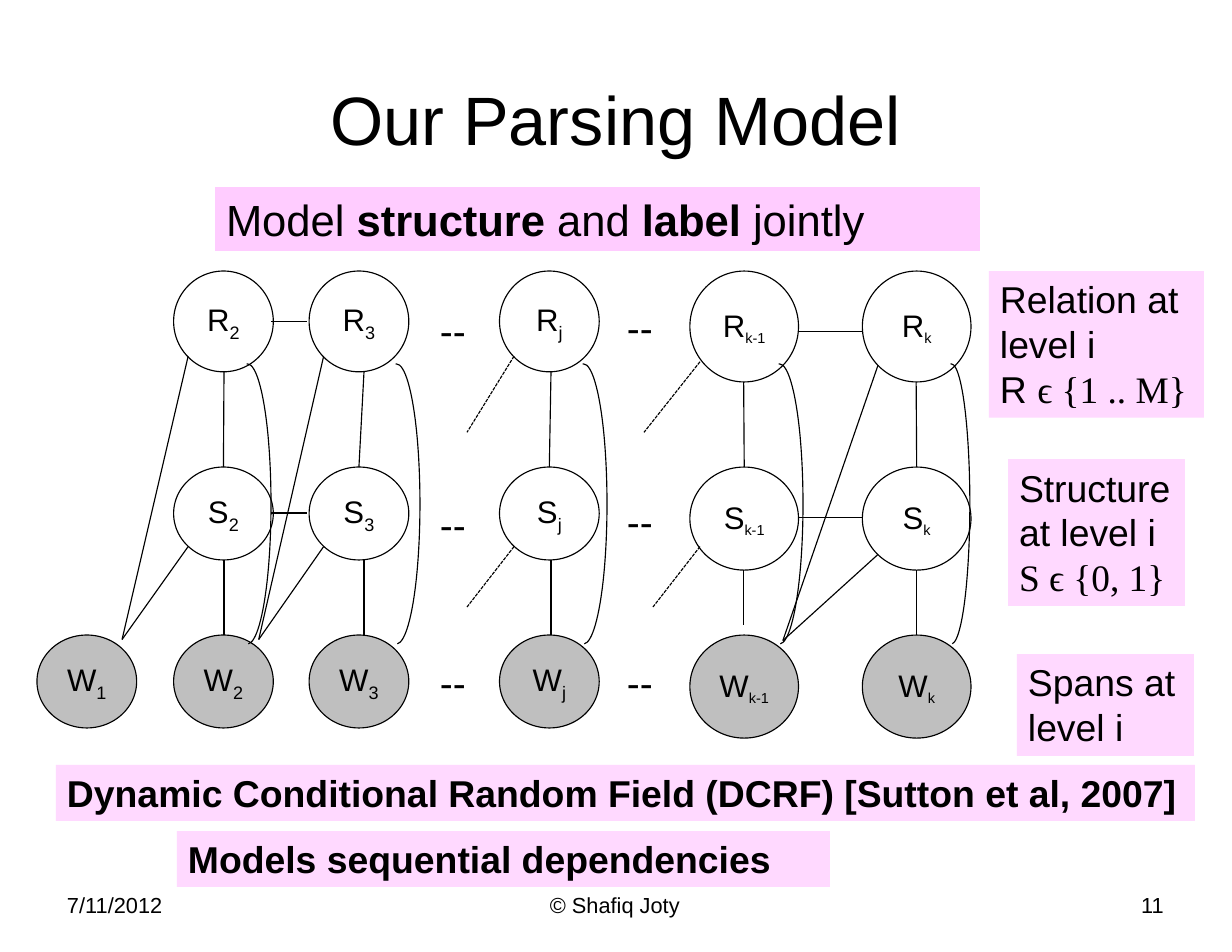
from pptx import Presentation
from pptx import util as u
from pptx.dml.color import RGBColor
from pptx.enum import dml, shapes, text
from pptx.oxml.ns import qn
from lxml import etree

WIDTH, HEIGHT = 11, 8.5
INK, PINK, GREY = "000000", "FFCCFF", "BFBFBF"
SERIF = {"name": "Times New Roman"}
BOLD = {"bold": True}
LEFT, CENTER, RIGHT = text.PP_ALIGN.LEFT, text.PP_ALIGN.CENTER, text.PP_ALIGN.RIGHT

TITLE = ("Our Parsing Model", (0.55, 0.34, 9.9, 1.42))
FOOTER = [
    ("7/11/2012", (0.5, 7.91, 2.57, 0.59), LEFT),
    ("© Shafiq Joty", (3.75, 7.91, 3.48, 0.59), CENTER),
    ("11", (7.92, 7.91, 2.57, 0.59), RIGHT),
]
HEADLINE = [[("Model ", {}), ("structure", BOLD), (" and ", {}), ("label", BOLD), (" jointly", {})]]
NOTES = [
    ((8.83, 2.42, 1.92, 1.31), [[("Relation at level i", {})], [("R ", {}), ("ϵ {1 .. M}", SERIF)]]),
    ((9, 4.1, 1.58, 1.31), [[("Structure at level i", {})], [("S ϵ {0, 1}", SERIF)]]),
    ((9.08, 5.84, 1.58, 0.91), [[("Spans at level i", {})]]),
    ((0.5, 6.83, 10.17, 0.5),
     [[("Dynamic Conditional Random Field (DCRF) [Sutton et al, 2007]", BOLD)]]),
    ((1.58, 7.42, 5.83, 0.5), [[("Models sequential dependencies", BOLD)]]),
]

# letter: top, height, fill, tops of the two gap marks
ROWS = {
    "R": (2.42, 0.9, None, (2.69, 2.66)),
    "S": (4.17, 0.83, None, (4.42, 4.39)),
    "W": (5.67, 0.83, GREY, (5.83, 5.83)),
}
# index: left, is last pair, stem x, stem end
COLUMNS = {
    "1": (0.33, False, None, None),
    "2": (1.55, False, 2, 5.67),
    "3": (2.76, False, 3.25, 5.67),
    "j": (4.46, False, 4.92, 5.67),
    "k-1": (6.16, True, 6.64, 5.58),
    "k": (7.7, True, 8.18, 5.67),
}
NODE_WIDTH, WIDER, TALLER = 0.89, 0.08, 0.09
GAP_LEFTS = (3.83, 5.5)
SIDE_LINKS = [(2.42, 2.87, 2.74), (2.42, 4.58, 2.74), (7.13, 2.96, 7.7), (7.13, 4.62, 7.7)]
SPAN_LINKS = [(1.68, (3.18, 4.88), (1.09, 5.71)),
              (2.89, (3.18, 4.88), (2.31, 5.71)),
              (7.84, (3.26, 4.95), (6.99, 5.72))]
OPEN_LINKS = [(4.59, 3.18, 4.17, 3.86), (6.25, 3.23, 5.75, 3.86),
              (4.59, 4.88, 4.17, 5.42), (6.25, 4.88, 5.83, 5.42)]
ARCS = [(2, 0.42), (3.33, 0.42), (5, 0.42), (6.75, 0.42), (8.33, 0.33)]
ARC_TOP, ARC_HEIGHT, ARC_ANGLES = 3.25, 2.5, (161.81, 53.78)

deck = Presentation()
deck.slide_width, deck.slide_height = u.Inches(WIDTH), u.Inches(HEIGHT)
slide = deck.slides.add_slide(deck.slide_layouts[6])


def color(hex_code):
    return RGBColor.from_string(hex_code)


def inches(lengths):
    return [u.Inches(length) for length in lengths]


def write(holder, paragraphs, size, align=LEFT, **frame_format):
    frame = holder.text_frame
    defaults = {"word_wrap": True, "vertical_anchor": text.MSO_ANCHOR.TOP}
    for key, value in (defaults | frame_format).items():
        setattr(frame, key, value)
    for number, runs in enumerate(paragraphs):
        paragraph = frame.add_paragraph() if number else frame.paragraphs[0]
        paragraph.alignment = align
        for words, styles in runs:
            run = paragraph.add_run()
            run.text = words
            run.font.color.rgb = color(INK)
            base = {"name": "Arial", "size": u.Pt(size), "bold": False}
            for key, value in (base | styles).items():
                setattr(run.font, key, value)
    return frame


def label(words, place, size, align=LEFT, **frame_format):
    write(slide.shapes.add_textbox(*inches(place)), [[(words, {})]], size, align, **frame_format)


def outline(part, dash=None):
    part.line.color.rgb = color(INK)
    part.line.width = u.Pt(0.75)
    if dash:
        part.line.dash_style = dash


def draw(kind, place, fill=None, alpha=None):
    part = slide.shapes.add_shape(kind, *inches(place))
    part.shadow.inherit = False
    if fill:
        part.fill.solid()
        part.fill.fore_color.rgb = color(fill)
    else:
        part.fill.background()
    if alpha:
        tint = part.fill._xPr.find(qn("a:solidFill"))[0]
        etree.SubElement(tint, qn("a:alpha")).set("val", str(alpha * 1000))
    return part


def note(place, paragraphs, size, alpha=None):
    box = draw(shapes.MSO_SHAPE.RECTANGLE, place, PINK, alpha)
    box.line.fill.background()
    write(box, paragraphs, size)


def link(x1, y1, x2, y2, dash=None):
    line = slide.shapes.add_connector(shapes.MSO_CONNECTOR.STRAIGHT, *inches((x1, y1, x2, y2)))
    outline(line, dash)
    etree.SubElement(line._element.spPr, qn("a:effectLst"))


def node(letter, index):
    left, last_pair, _, _ = COLUMNS[index]
    top, height, fill, _ = ROWS[letter]
    place = (left, top, NODE_WIDTH + WIDER * last_pair, height + TALLER * last_pair)
    circle = draw(shapes.MSO_SHAPE.OVAL, place, fill)
    outline(circle)
    small = {"size": u.Pt(16 if last_pair else 20)}
    frame = write(circle, [[(letter, {}), (index, small)]], 20, CENTER,
                  word_wrap=False, vertical_anchor=text.MSO_ANCHOR.MIDDLE)
    frame.paragraphs[0].runs[1].font._element.set("baseline", "-25000")


label(*TITLE, 44, CENTER, vertical_anchor=text.MSO_ANCHOR.MIDDLE)
for words, place, align in FOOTER:
    label(words, place, 14, align)
note((1.92, 1.67, 6.83, 0.57), HEADLINE, 28)
for place, paragraphs in NOTES:
    note(place, paragraphs, 24, 74)

for letter, (_, _, _, gap_tops) in ROWS.items():
    for index in COLUMNS:
        if letter == "W" or index != "1":
            node(letter, index)
    for left, top in zip(GAP_LEFTS, gap_tops):
        label("--", (left, top, 0.5, 0.52), 25)

for left, last_pair, stem, stem_end in COLUMNS.values():
    if stem:
        middle = left + (NODE_WIDTH + WIDER * last_pair) / 2
        relation_end, structure_end = (
            ROWS[letter][0] + ROWS[letter][1] + TALLER * last_pair for letter in "RS")
        link(stem, relation_end, middle, ROWS["S"][0])
        link(stem, structure_end, stem, stem_end)

for start, y, end in SIDE_LINKS:
    link(start, y, end, y)
for x, tops, target in SPAN_LINKS:
    for top in tops:
        link(x, top, *target)
for ends in OPEN_LINKS:
    link(*ends, dash=dml.MSO_LINE.SQUARE_DOT)

for left, width in ARCS:
    arc = draw(shapes.MSO_SHAPE.ARC, (left, ARC_TOP, width, ARC_HEIGHT))
    outline(arc)
    for number, angle in enumerate(ARC_ANGLES):
        arc.adjustments[number] = angle

deck.save("out.pptx")
